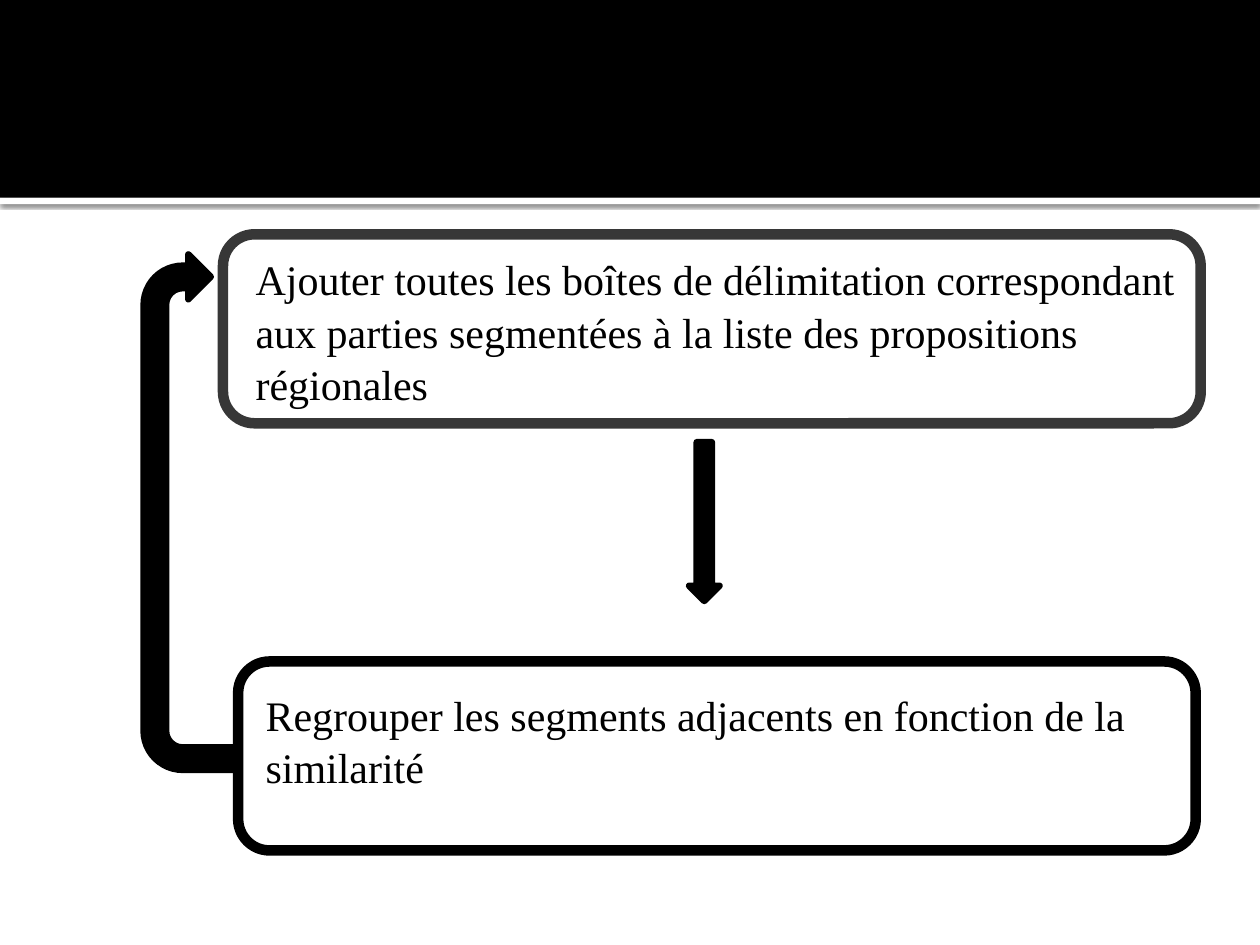
from lxml import etree
from pptx import Presentation
from pptx.dml.color import RGBColor
from pptx.enum.shapes import MSO_SHAPE
from pptx.enum.text import MSO_AUTO_SIZE
from pptx.oxml.ns import qn
from pptx.util import Inches, Pt

RECT = MSO_SHAPE.RECTANGLE
ROUND = MSO_SHAPE.ROUNDED_RECTANGLE
DOWN = MSO_SHAPE.DOWN_ARROW
TURN = MSO_SHAPE.U_TURN_ARROW
GROW = MSO_AUTO_SIZE.SHAPE_TO_FIT_TEXT

HUES = {"white": "FFFFFF", "black": "000000", "gray": "373737"}
FONT = "Times New Roman"
BANDS = [
    ((0, 1.57, 10, 0.05), "white"),
    ((0, 0, 10, 1.57), "black"),
]
STEPS = [
    ((1.77, 1.86, 7.76, 1.5), "gray", (1.93, 1.94, 7.68, 1.92),
     "Ajouter toutes les boîtes de délimitation correspondant aux parties "
     "segmentées à la liste des propositions régionales"),
    ((1.89, 5.25, 7.6, 1.5), "black", (2.01, 5.4, 7.17, 0.91),
     "Regrouper les segments adjacents en fonction de la similarité"),
]
ARROWS = [
    (DOWN, (5.47, 3.51, 0.24, 1.26), 0),
    (TURN, (-0.55, 3.71, 4.09, 0.71), 270),
]


def hue(name):
    return RGBColor.from_string(HUES[name])


def add_form(slide, kind, box, fill, line=None, width=0):
    form = slide.shapes.add_shape(kind, *map(Inches, box))
    form.shadow.inherit = False
    form.fill.solid()
    form.fill.fore_color.rgb = hue(fill)
    if line:
        form.line.color.rgb = hue(line)
        form.line.width = Pt(width)
    else:
        form.line.fill.background()
    return form


def add_shade(form):
    effects = form._element.spPr.find(qn("a:effectLst"))
    shade = etree.SubElement(effects, qn("a:outerShdw"), blurRad=str(Pt(2.5)),
                             dist=str(Pt(0.8)), dir=str(90 * 60000),
                             algn="tl", rotWithShape="0")
    color = etree.SubElement(shade, qn("a:srgbClr"), val=HUES["black"])
    etree.SubElement(color, qn("a:alpha"), val="60000")


def add_text(slide, box, text):
    frame = slide.shapes.add_textbox(*map(Inches, box)).text_frame
    frame.word_wrap = True
    frame.auto_size = GROW
    para = frame.paragraphs[0]
    para.line_spacing = 1.05
    run = para.add_run()
    run.text = text
    run.font.name = FONT
    run.font.size = Pt(24)
    run.font.color.rgb = hue("black")


def main():
    deck = Presentation()
    deck.slide_width = Inches(10)
    deck.slide_height = Inches(7.5)
    slide = deck.slides.add_slide(deck.slide_layouts[6])

    bands = [add_form(slide, RECT, box, fill) for box, fill in BANDS]
    add_shade(bands[0])
    for box, line, place, text in STEPS:
        add_form(slide, ROUND, box, "white", line, 6)
        add_text(slide, place, text)
    for kind, box, turn in ARROWS:
        arrow = add_form(slide, kind, box, "black", "black", 3.78)
        arrow.rotation = turn

    deck.save("out.pptx")


if __name__ == "__main__":
    main()
